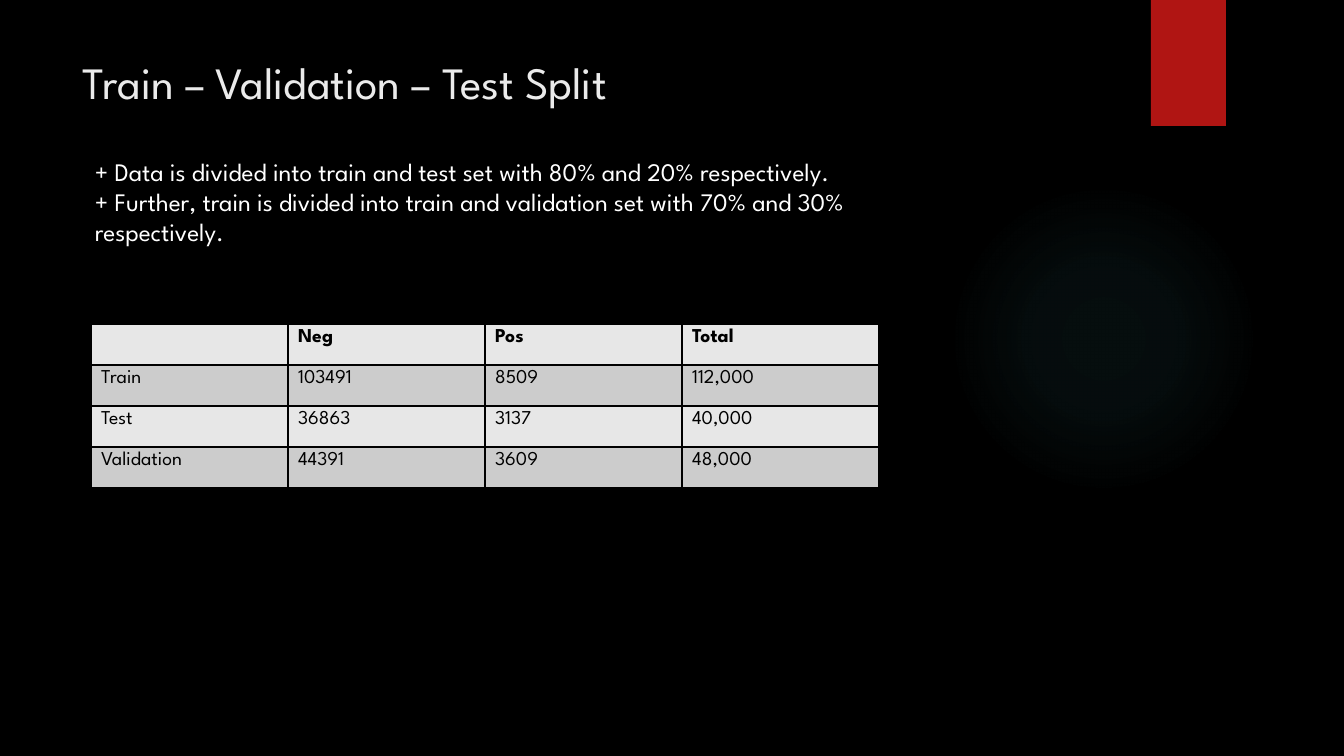
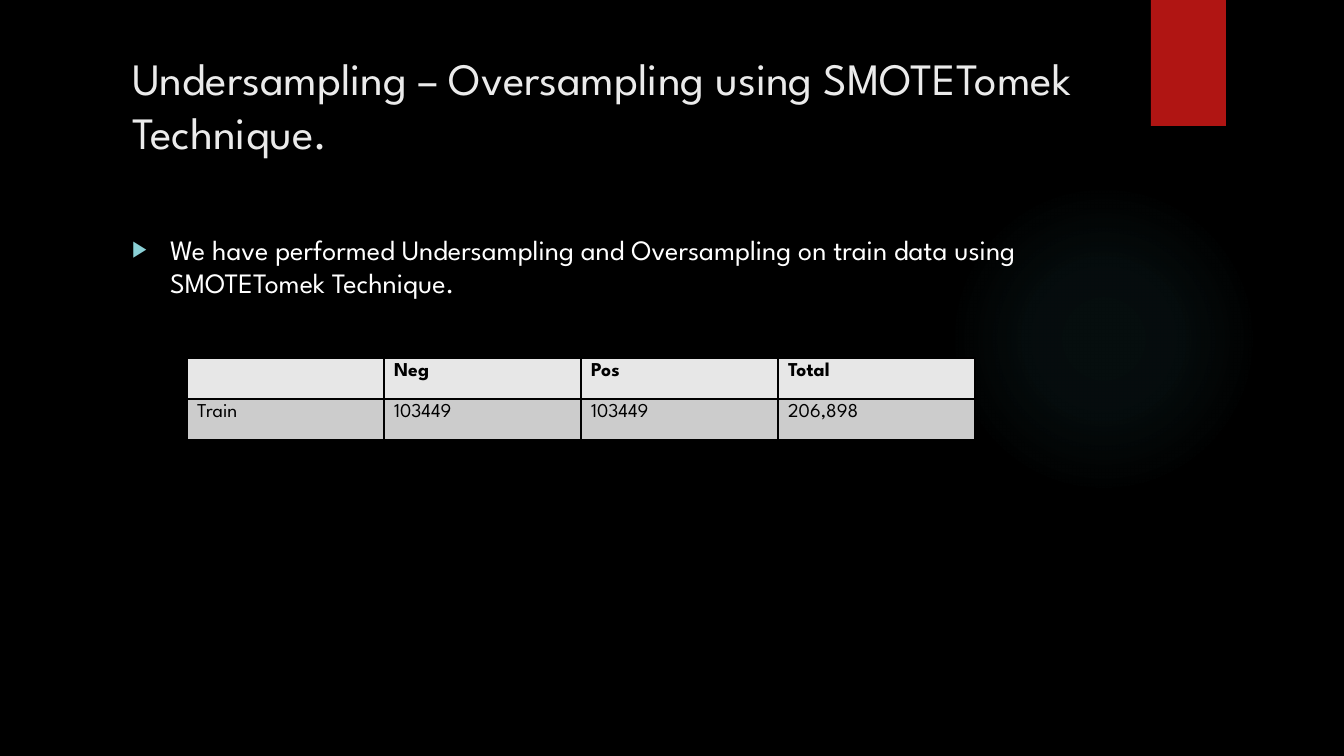
from lxml import etree
from pptx import Presentation
from pptx import util as u
from pptx.dml.color import RGBColor
from pptx.enum import shapes, text
from pptx.oxml import parse_xml
from pptx.oxml.ns import nsdecls, qn

FONT = "League Spartan"
COLORS = {
    "background": "000000", "glow": "50B9C1", "ribbon": "B01513",
    "title": "EBEBEB", "body": "FFFFFF", "bullet": "8AD0D6",
    "cell": "000000", "grid": "000000",
    "light_row": "E7E7E7", "dark_row": "CCCCCC",
}
STYLES = {
    "title": {"size": u.Pt(32), "bold": False},
    "note": {"size": u.Pt(18), "bold": False},
    "point": {"size": u.Pt(20), "bold": False},
    "header": {"size": u.Pt(14), "bold": True},
    "value": {"size": u.Pt(14), "bold": False},
}
FRAME = {
    "word_wrap": True,
    "auto_size": text.MSO_AUTO_SIZE.NONE,
    "vertical_anchor": text.MSO_ANCHOR.TOP,
}
HEADER = ("", "Neg", "Pos", "Total")
COLUMN_WIDTH, ROW_HEIGHT = 197, 41
GLOW_BOX = (949, 184, 310, 310)
GLOW_STOPS = ((0, 7), (36, 6), (69, 0))
RIBBON_BOX = (1151, 0, 75, 126)

SLIDES = [
    {
        "layout": 5,
        "title": ("Train – Validation – Test Split", (72, 50, 828, 114)),
        "notes": (
            ("+ Data is divided into train and test set with 80% and 20% respectively.",
             "+ Further, train is divided into train and validation set with 70% and 30% respectively."),
            (85, 151, 775, 132)),
        "counts": (
            (("Train", "103491", "8509", "112,000"),
             ("Test", "36863", "3137", "40,000"),
             ("Validation", "44391", "3609", "48,000")),
            (91, 324)),
    },
    {
        "layout": 1,
        "title": ("Undersampling – Oversampling using SMOTETomek Technique.",
                  (122, 46, 1037, 154)),
        "points": (
            ("We have performed Undersampling and Oversampling on train data using SMOTETomek Technique.",),
            (122, 227, 986, 463)),
        "counts": ((("Train", "103449", "103449", "206,898"),), (187, 358)),
    },
]


def px(length):
    return u.Emu(round(length * 12192000 / 1344))


def rgb(name):
    return RGBColor.from_string(COLORS[name])


def apply(target, values):
    for name, value in values.items():
        setattr(target, name, value)


def place(part, box):
    apply(part, dict(zip(("left", "top", "width", "height"), map(px, box))))


def write(frame, lines, style, color):
    apply(frame, FRAME)
    for index, line in enumerate(lines):
        paragraph = frame.paragraphs[0] if index == 0 else frame.add_paragraph()
        paragraph.alignment = text.PP_ALIGN.LEFT
        run = paragraph.add_run()
        run.text = line
        apply(run.font, {"name": FONT, **STYLES[style]})
        run.font.color.rgb = rgb(color)


def add_bullet(paragraph):
    paragraph.space_before = u.Pt(10)
    properties = paragraph._p.get_or_add_pPr()
    properties.set("marL", str(px(38)))
    properties.set("indent", str(-px(38)))
    color = etree.SubElement(properties, qn("a:buClr"))
    etree.SubElement(color, qn("a:srgbClr"), val=COLORS["bullet"])
    etree.SubElement(properties, qn("a:buSzPct"), val="80000")
    etree.SubElement(properties, qn("a:buFont"), typeface="Arial")
    etree.SubElement(properties, qn("a:buChar"), char="▶")


def add_plain(slide, kind, box, color):
    part = slide.shapes.add_shape(kind, *map(px, box))
    part.shadow.inherit = False
    part.fill.solid()
    part.fill.fore_color.rgb = rgb(color)
    part.line.fill.background()
    return part


def add_backdrop(slide):
    glow = add_plain(slide, shapes.MSO_SHAPE.OVAL, GLOW_BOX, "glow")
    stops = "".join(
        f'<a:gs pos="{position * 1000}"><a:srgbClr val="{COLORS["glow"]}">'
        f'<a:alpha val="{alpha * 1000}"/></a:srgbClr></a:gs>'
        for position, alpha in GLOW_STOPS)
    gradient = parse_xml(
        f'<a:gradFill {nsdecls("a")}><a:gsLst>{stops}</a:gsLst><a:path path="circle">'
        '<a:fillToRect l="50000" t="50000" r="50000" b="50000"/></a:path></a:gradFill>')
    properties = glow._element.spPr
    properties.replace(properties.find(qn("a:solidFill")), gradient)
    ribbon = add_plain(slide, shapes.MSO_SHAPE.RECTANGLE, RIBBON_BOX, "ribbon")
    for depth, part in enumerate((glow, ribbon), start=2):
        slide.shapes._spTree.insert(depth, part._element)


def add_borders(cell):
    properties = cell._tc.get_or_add_tcPr()
    for side in ("lnL", "lnR", "lnT", "lnB"):
        border = etree.SubElement(properties, qn(f"a:{side}"), w=str(u.Pt(1)))
        fill = etree.SubElement(border, qn("a:solidFill"))
        etree.SubElement(fill, qn("a:srgbClr"), val=COLORS["grid"])


def add_counts(slide, records, corner):
    rows = (HEADER, *records)
    size = (COLUMN_WIDTH * len(HEADER), ROW_HEIGHT * len(rows))
    counts = slide.shapes.add_table(
        len(rows), len(HEADER), *map(px, corner + size)).table
    for column in counts.columns:
        column.width = px(COLUMN_WIDTH)
    for r, values in enumerate(rows):
        counts.rows[r].height = px(ROW_HEIGHT)
        for c, value in enumerate(values):
            cell = counts.cell(r, c)
            add_borders(cell)
            cell.fill.solid()
            cell.fill.fore_color.rgb = rgb("dark_row" if r % 2 else "light_row")
            write(cell.text_frame, [value], "value" if r else "header", "cell")


def build_slide(deck, content):
    slide = deck.slides.add_slide(deck.slide_layouts[content["layout"]])
    add_backdrop(slide)
    heading, box = content["title"]
    place(slide.shapes.title, box)
    write(slide.shapes.title.text_frame, [heading], "title", "title")
    if "notes" in content:
        lines, box = content["notes"]
        notes = slide.shapes.add_textbox(*map(px, box))
        write(notes.text_frame, lines, "note", "body")
    if "points" in content:
        lines, box = content["points"]
        points = slide.placeholders[1]
        place(points, box)
        write(points.text_frame, lines, "point", "body")
        for paragraph in points.text_frame.paragraphs:
            add_bullet(paragraph)
    add_counts(slide, *content["counts"])


def main():
    deck = Presentation()
    apply(deck, {"slide_width": px(1344), "slide_height": px(756)})
    background = deck.slide_master.background.fill
    background.solid()
    background.fore_color.rgb = rgb("background")
    for content in SLIDES:
        build_slide(deck, content)
    deck.save("out.pptx")


if __name__ == "__main__":
    main()
